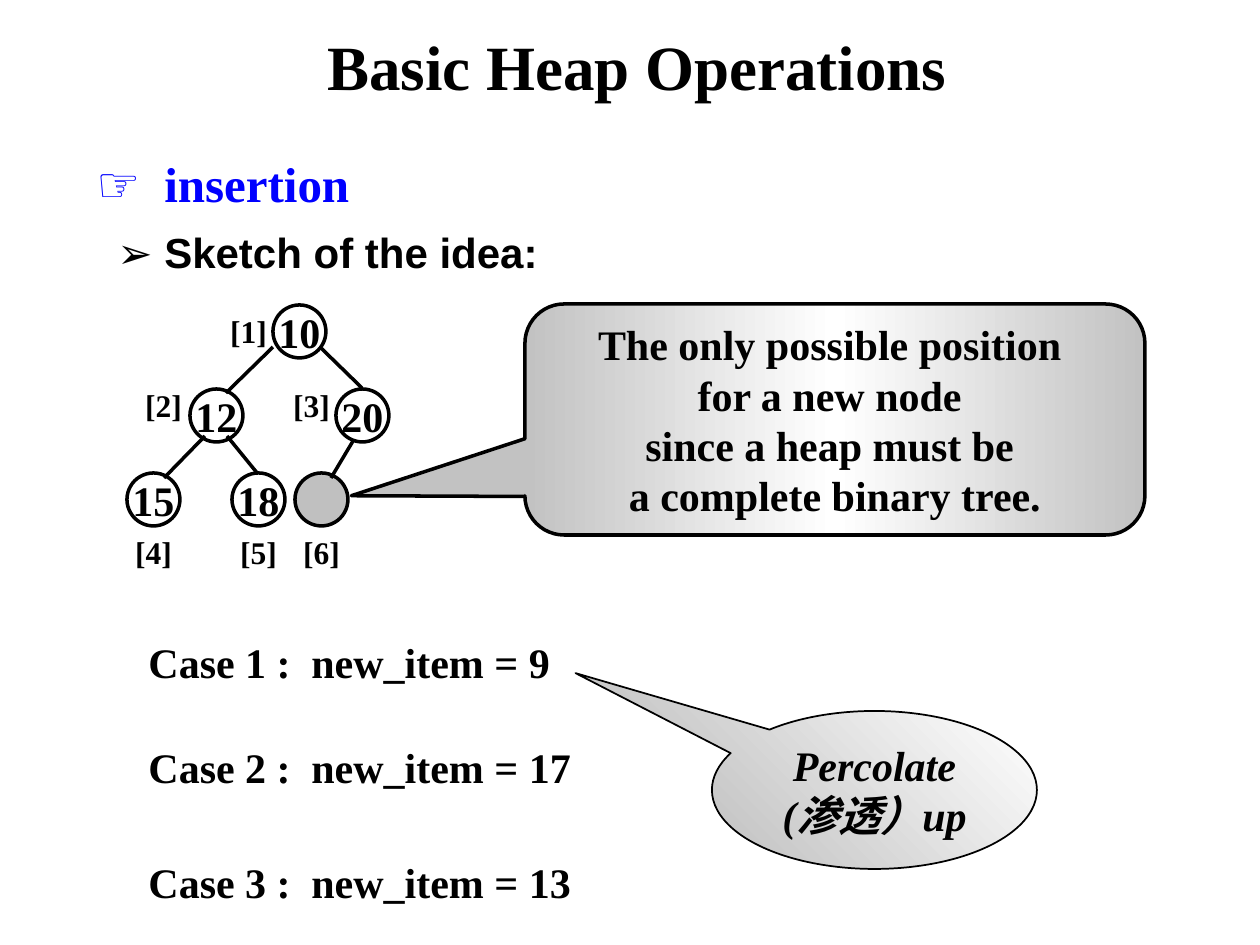
from copy import deepcopy

from pptx import Presentation
from pptx.dml.color import RGBColor
from pptx.enum.shapes import MSO_CONNECTOR, MSO_SHAPE as SHAPE
from pptx.enum.text import MSO_ANCHOR, PP_ALIGN
from pptx.oxml.ns import qn
from pptx.util import Pt

PX = 914400 / 126
BLACK = RGBColor(0, 0, 0)
BLUE = RGBColor(0, 0, 255)
SILVER = RGBColor(192, 192, 192)
GREY = RGBColor(194, 194, 194)
WHITE = RGBColor(255, 255, 255)
SERIF, SANS = "Times New Roman", "Arial"


def px(*lengths):
    return [round(length * PX) for length in lengths]


def write(shape, lines, size=24, color=BLACK, centred=False, wrap=True, tab=None):
    """Fill a shape with paragraphs, each a list of (text, font name) runs."""
    frame = shape.text_frame
    frame.word_wrap = wrap
    frame.vertical_anchor = MSO_ANCHOR.MIDDLE if centred else MSO_ANCHOR.TOP
    for i, runs in enumerate(lines):
        paragraph = frame.add_paragraph() if i else frame.paragraphs[0]
        paragraph.alignment = PP_ALIGN.CENTER if centred else PP_ALIGN.LEFT
        if tab:
            stops = paragraph._p.get_or_add_pPr().makeelement(qn("a:tabLst"), {})
            stop = stops.makeelement(qn("a:tab"), {"pos": str(px(tab)[0]), "algn": "l"})
            stops.append(stop)
            paragraph._p.get_or_add_pPr().append(stops)
        for text, font_name in runs:
            run = paragraph.add_run()
            run.text = text
            run.font.name = font_name
            run.font.size = Pt(size)
            run.font.bold = True
            run.font.color.rgb = color


prs = Presentation()
prs.slide_width, prs.slide_height = px(1260, 945)
slide = prs.slides.add_slide(prs.slide_layouts[6])

# Title, headings and cases
texts = [
    (315, 21, 756, 88, [("Basic Heap Operations", SERIF)], 36, BLACK, None),
    (84, 147, 294, 72, [("☞", SANS), ("\tinsertion", SERIF)], 28, BLUE, 68),
    (105, 220, 462, 63, [("➢ Sketch of the idea:", SANS)], 24, BLACK, None),
]
for number, (top, item) in enumerate([(630, 9), (735, 17), (850, 13)], 1):
    case = [(f"Case {number} :\tnew_item = {item}", SERIF)]
    texts.append((136, top, 462, 63, case, 24, BLACK, 163))
for left, top, width, height, runs, size, color, tab in texts:
    box = slide.shapes.add_textbox(*px(left, top, width, height))
    write(box, [runs], size, color, tab=tab)

# Heap: nodes with their array positions
heap = slide.shapes.add_group_shape().shapes
NODE = 53
nodes = [
    ("10", 273, 305, 222, 315),
    ("12", 190, 389, 137, 389),
    ("20", 336, 389, 285, 389),
    ("15", 127, 473, 127, 536),
    ("18", 232, 473, 232, 536),
    (None, 295, 473, 295, 536),
]
for position, (key, left, top, label_left, label_top) in enumerate(nodes, 1):
    node = heap.add_shape(SHAPE.OVAL, *px(left, top, NODE, NODE))
    node.shadow.inherit = False
    node.line.color.rgb = BLACK
    node.line.width = Pt(2)
    if key:
        node.fill.background()
        write(node, [[(key, SERIF)]], centred=True, wrap=False)
    else:
        node.fill.solid()
        node.fill.fore_color.rgb = SILVER
    label = heap.add_textbox(*px(label_left, label_top, NODE, 31))
    label.text_frame.margin_left = label.text_frame.margin_right = 0
    write(label, [[(f"[{position}]", SERIF)]], 18, centred=True, wrap=False)

# Heap: edges from parent to child
edges = [
    (273, 347, 226, 393), (320, 347, 362, 388),
    (205, 436, 164, 478), (227, 436, 258, 474), (353, 441, 331, 478),
]
for edge in edges:
    branch = heap.add_connector(MSO_CONNECTOR.STRAIGHT, *px(*edge))
    branch.line.color.rgb = BLACK
    branch.line.width = Pt(2)
    properties = branch._element.spPr
    properties.append(properties.makeelement(qn("a:effectLst"), {}))

# Callouts
position_lines = [
    "The only possible position ",
    "for a new node ",
    "since a heap must be ",
    "a complete binary tree.",
]
position_note = slide.shapes.add_shape(
    SHAPE.ROUNDED_RECTANGULAR_CALLOUT, *px(525, 304, 620, 231))
percolate_note = slide.shapes.add_shape(
    SHAPE.OVAL_CALLOUT, *px(712, 711, 325, 158))
callouts = [
    (position_note, [-0.78, 0.33, 0.17], 2, 0, (GREY, WHITE), position_lines, False),
    (percolate_note, [-0.92, -0.74], 1, 45, (SILVER, WHITE), ["Percolate (渗透）up"], True),
]
for note, adjustments, width, angle, colors, lines, wrap in callouts:
    note.shadow.inherit = False
    for i, value in enumerate(adjustments):
        note.adjustments[i] = value
    note.line.color.rgb = BLACK
    note.line.width = Pt(width)
    note.fill.gradient()
    note.fill.gradient_angle = angle
    for stop, color in zip(note.fill.gradient_stops, colors):
        stop.color.rgb = color
    write(note, [[(line, SERIF)] for line in lines], centred=True, wrap=wrap)

# Grey returns at the far edge of the position callout
note_stops = position_note._element.spPr.find(".//" + qn("a:gsLst"))
far_stop = deepcopy(note_stops[0])
far_stop.set("pos", "100000")
note_stops[1].set("pos", "50000")
note_stops.append(far_stop)

percolate_note.text_frame.paragraphs[0].runs[0].font.italic = True

prs.save("out.pptx")
